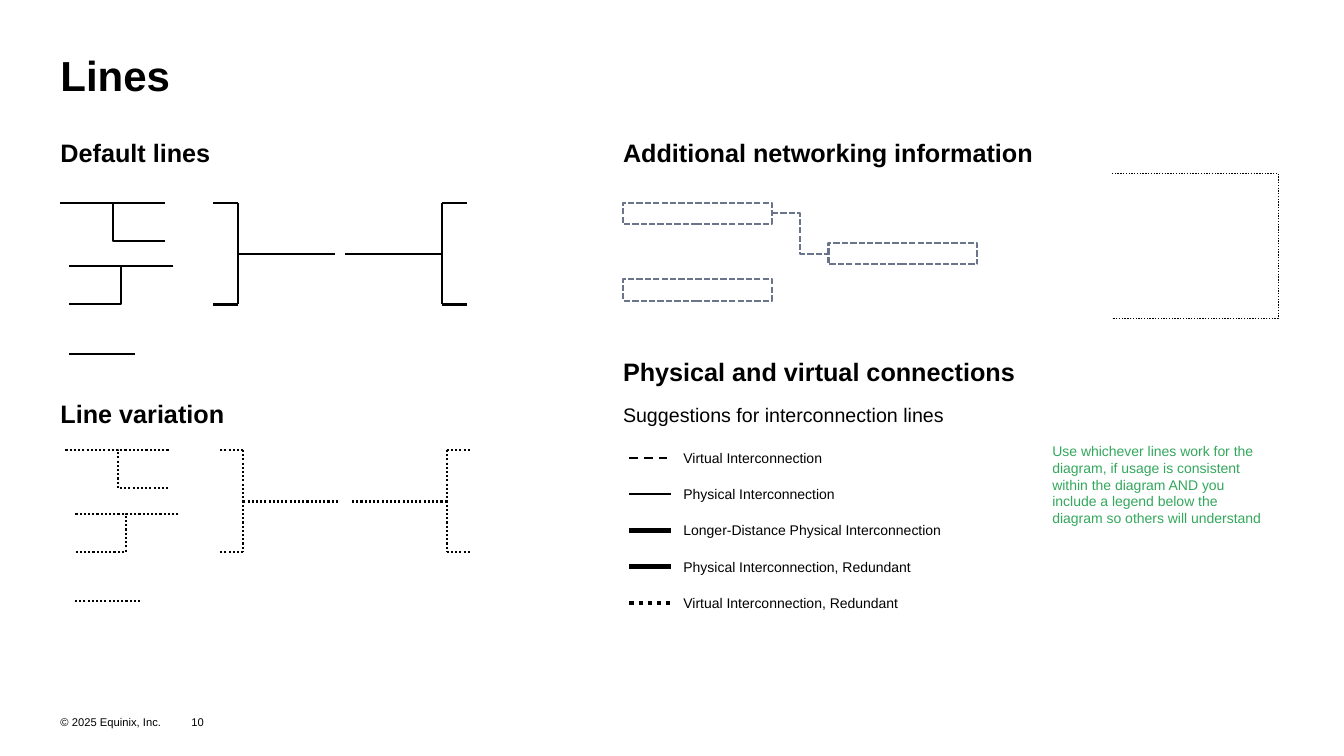
from lxml.etree import SubElement
from pptx import Presentation
from pptx.dml.color import RGBColor
from pptx.enum.dml import MSO_LINE as Dash
from pptx.enum.shapes import MSO_CONNECTOR as Link, MSO_SHAPE
from pptx.enum.text import MSO_ANCHOR as Anchor
from pptx.oxml.ns import qn
from pptx.util import Pt

BLACK, SLATE, GREEN = "000000", "6A748A", "33A85C"
LEFT, RIGHT = 43.2, 445  # left edges of the two columns


def colour(hex_value):
    return RGBColor.from_string(hex_value)


def style_line(line, hex_value, weight, dash):
    line.color.rgb = colour(hex_value)
    line.width = Pt(weight)
    if dash:
        line.dash_style = dash


def write(frame, words, size, hex_value=BLACK, bold=False, wrap=True,
          anchor=Anchor.TOP):
    frame.margin_left = frame.margin_right = Pt(0)
    frame.margin_top = frame.margin_bottom = Pt(0)
    frame.word_wrap = wrap
    frame.vertical_anchor = anchor
    run = frame.paragraphs[0].add_run()
    run.text = words
    run.font.name = "Arial"
    run.font.size = Pt(size)
    run.font.bold = bold
    run.font.color.rgb = colour(hex_value)


def add_text(slide, x, y, w, h, words, size, **look):
    box = slide.shapes.add_textbox(Pt(x), Pt(y), Pt(w), Pt(h))
    write(box.text_frame, words, size, **look)


def add_heading(slide, x, y, words):
    add_text(slide, x, y, 334, 31.7, words, 18, bold=True)


def add_link(slide, x1, y1, x2, y2, hex_value=BLACK, weight=1.5, dash=None,
             kind=Link.STRAIGHT):
    link = slide.shapes.add_connector(kind, Pt(x1), Pt(y1), Pt(x2), Pt(y2))
    style_line(link.line, hex_value, weight, dash)
    SubElement(link._element.spPr, qn("a:effectLst"))
    return link


def add_branch(slide, start, y, direction, dash):
    """Draw a straight line and an elbow that leave the same point."""
    end = start + direction * 74.9
    add_link(slide, start, y, end, y, dash=dash)
    add_link(slide, start, y, end, y + 27.2, dash=dash, kind=Link.ELBOW)


def add_bracket(slide, spine, y, direction, dash):
    """Draw a bracket whose stem points in the given direction."""
    stub = spine - direction * 18
    add_link(slide, spine, y + 36.8, spine + direction * 69, y + 36.8, dash=dash)
    add_link(slide, spine, y, spine, y + 72.8, dash=dash)
    for end_y in (y, y + 72.8):
        add_link(slide, spine, end_y, stub, end_y, dash=dash)


def add_line_set(slide, x, y, dash=None):
    add_branch(slide, x, y, 1, dash)
    add_branch(slide, x + 80.7, y + 45.5, -1, dash)
    add_bracket(slide, x + 127, y, 1, dash)
    add_bracket(slide, x + 272.3, y, -1, dash)
    add_link(slide, x + 53.3, y + 108.2, x + 5.8, y + 108.2, dash=dash)


def add_dashed_box(slide, x, y):
    box = slide.shapes.add_shape(MSO_SHAPE.RECTANGLE, Pt(x), Pt(y),
                                 Pt(106.4), Pt(15.4))
    box.shadow.inherit = False
    box.fill.background()
    style_line(box.line, SLATE, 1.5, Dash.SQUARE_DOT)
    return box


def add_network_boxes(slide):
    upper = add_dashed_box(slide, RIGHT, 144.7)
    linked = add_dashed_box(slide, 591.8, 173.5)
    add_dashed_box(slide, RIGHT, 199.4)
    link = add_link(slide, 551.4, 152.4, 591.8, 181.2, SLATE, 1.5,
                    Dash.SQUARE_DOT, Link.ELBOW)
    link.begin_connect(upper, 3)
    link.end_connect(linked, 1)


def add_open_frame(slide, x, y, w, h):
    """Draw a dotted frame without its left side."""
    builder = slide.shapes.build_freeform(Pt(x), Pt(y))
    builder.add_line_segments(
        [(Pt(x + w), Pt(y)), (Pt(x + w), Pt(y + h)), (Pt(x), Pt(y + h))],
        close=False)
    frame = builder.convert_to_shape()
    frame.shadow.inherit = False
    frame.fill.background()
    style_line(frame.line, BLACK, 1, Dash.ROUND_DOT)


def add_legend(slide):
    entries = [
        ("Virtual Interconnection", 1.5, Dash.DASH),
        ("Physical Interconnection", 1.5, None),
        ("Longer-Distance Physical Interconnection", 4, None),
        ("Physical Interconnection, Redundant", 3.75, None),
        ("Virtual Interconnection, Redundant", 3.25, Dash.ROUND_DOT),
    ]
    for row, (words, weight, dash) in enumerate(entries):
        y = 327 + row * 25.9
        add_link(slide, 449.6, y, 479.5, y, weight=weight, dash=dash)
        add_text(slide, 488.2, y - 6, 184.3, 12, words, 10, wrap=False,
                 anchor=Anchor.MIDDLE)


def add_title(slide, words):
    title = slide.shapes.title
    title.left, title.top = Pt(LEFT), Pt(35.3)
    title.width, title.height = Pt(677.5), Pt(72.7)
    write(title.text_frame, words, 30, bold=True)
    title.text_frame.paragraphs[0].alignment = 1


def main():
    deck = Presentation()
    deck.slide_width, deck.slide_height = Pt(960), Pt(540)
    slide = deck.slides.add_slide(deck.slide_layouts[5])
    add_title(slide, "Lines")

    add_heading(slide, LEFT, 97.9, "Default lines")
    add_line_set(slide, LEFT, 144.7)
    add_heading(slide, LEFT, 284.6, "Line variation")
    add_line_set(slide, LEFT + 3.6, 321.4, Dash.ROUND_DOT)

    add_heading(slide, RIGHT, 97.9, "Additional networking information")
    add_network_boxes(slide)
    add_open_frame(slide, 794.2, 123.8, 118.8, 103.7)

    add_heading(slide, RIGHT, 254.2, "Physical and virtual connections")
    add_text(slide, RIGHT, 288, 264, 22.3,
             "Suggestions for interconnection lines", 14, wrap=False)
    add_legend(slide)
    add_text(slide, 751.7, 316.1, 149.8, 60.5,
             "Use whichever lines work for the diagram, if usage is consistent "
             "within the diagram AND you include a legend below the diagram so "
             "others will understand", 10, hex_value=GREEN)

    add_text(slide, LEFT, 511.2, 86.4, 28.8, "© 2025 Equinix, Inc.", 8)
    add_text(slide, 136.8, 511.2, 36, 28.8, "10", 8)
    deck.save("out.pptx")


if __name__ == "__main__":
    main()
